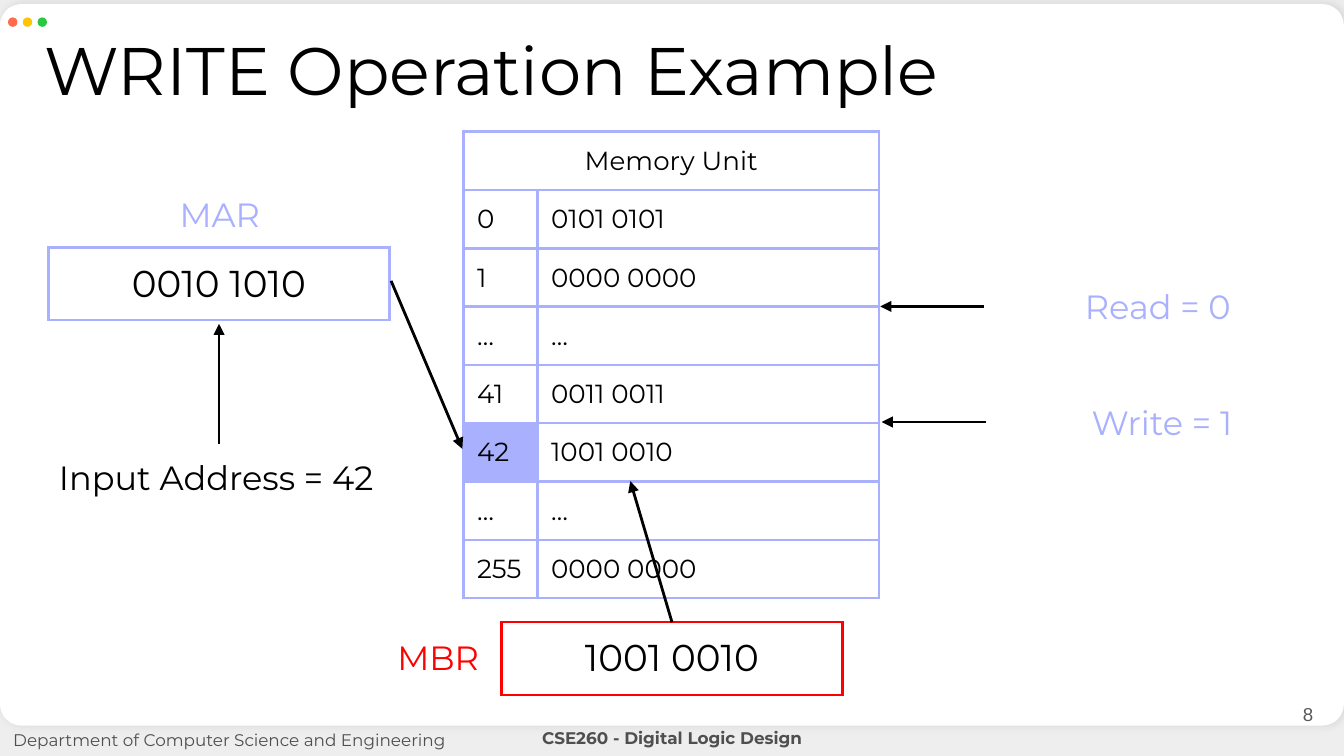
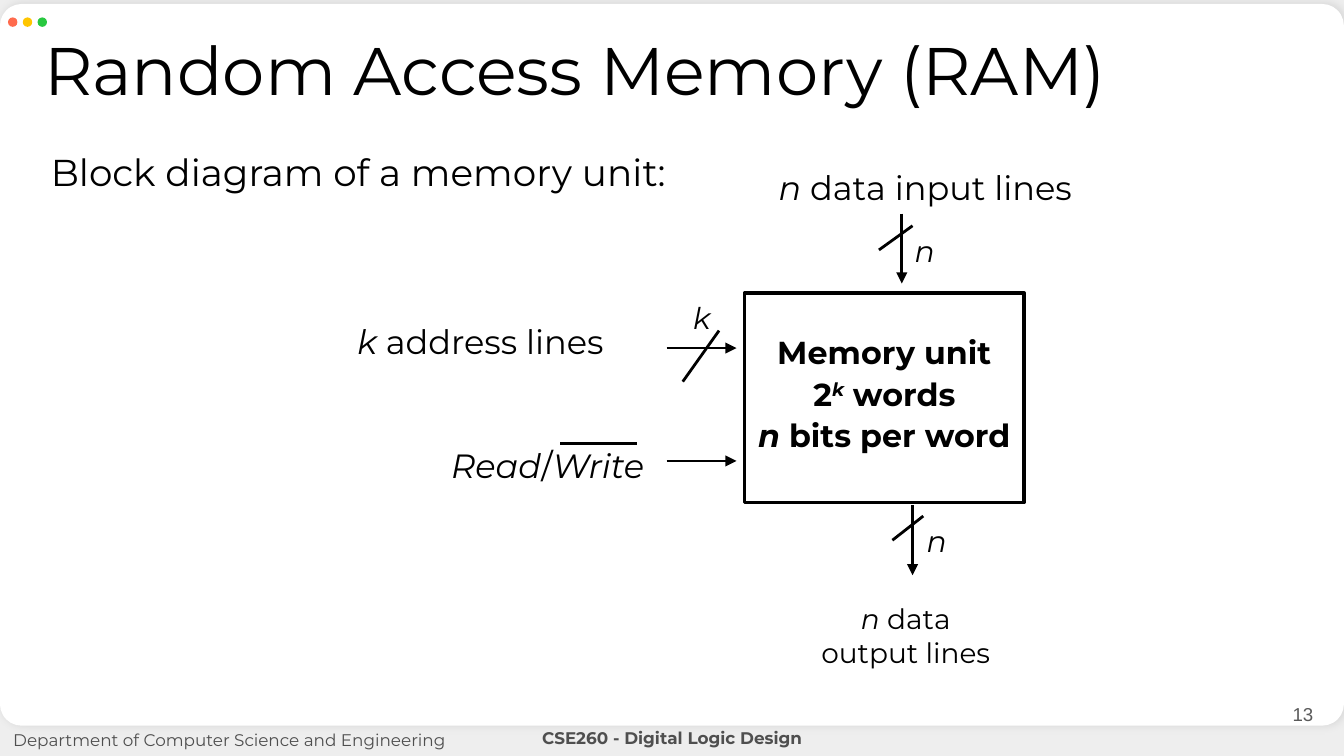
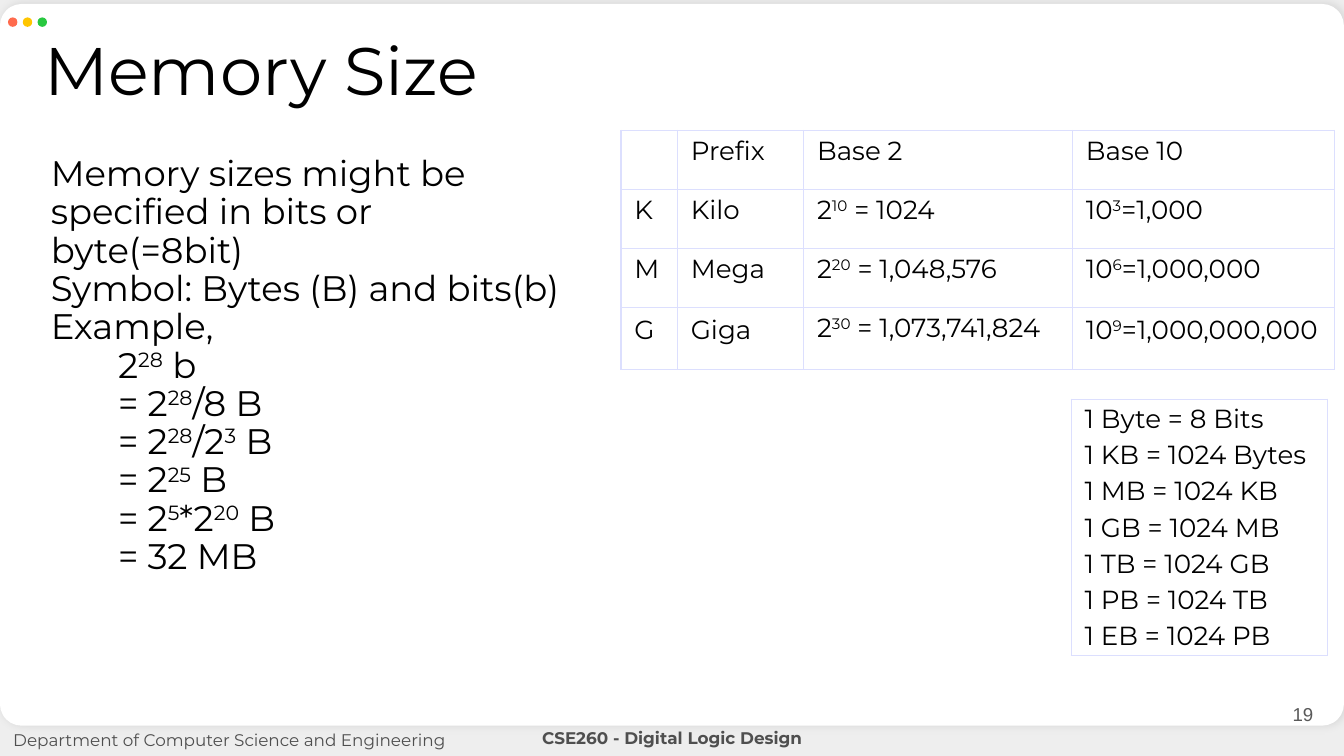
from dataclasses import dataclass
from lxml.etree import SubElement
from pptx import Presentation
from pptx.dml.color import RGBColor
from pptx.enum.shapes import MSO_CONNECTOR, MSO_SHAPE
from pptx.enum.text import MSO_ANCHOR, MSO_AUTO_SIZE, PP_ALIGN
from pptx.oxml.ns import qn
from pptx.util import Inches, Pt


@dataclass(frozen=True)
class Theme:
    face: str = "Montserrat"
    plain: str = "Arial"
    back: str = "EEEEEE"
    card: str = "FFFFFF"
    ink: str = "000000"
    foot: str = "4F4F4F"
    page: str = "595959"
    lilac: str = "A9B0FE"
    pale: str = "DCDFFE"
    red: str = "FF0000"
    dots: tuple = ("FF6B4D", "FFC600", "28C840")
    title: int = 36
    value: int = 20
    body: int = 19
    label: int = 18
    block: int = 17
    mark: int = 16
    out: int = 15
    cell: int = 14
    number: int = 10
    small: int = 9


THEME = Theme()
MID = PP_ALIGN.CENTER
WIDE = (0.1, 0.1)
SLIM = (0.1, 0.05)


def paint(target, color):
    target.solid()
    target.fore_color.rgb = RGBColor.from_string(color)


def assign(item, values):
    for name, value in values.items():
        setattr(item, name, value)


def margins(pad):
    side, top = map(Inches, pad)
    return {"margin_left": side, "margin_right": side,
            "margin_top": top, "margin_bottom": top}


def add_runs(par, text, size, color, face, bold):
    marks = {"^": False, "_": False}
    for piece in text.replace("^", "|^|").replace("_", "|_|").split("|"):
        if piece in marks:
            marks[piece] = not marks[piece]
        elif piece:
            run = par.add_run()
            run.text = piece
            assign(run.font, {"name": face, "size": Pt(size),
                              "bold": bold, "italic": marks["_"]})
            run.font.color.rgb = RGBColor.from_string(color)
            if marks["^"]:
                run.font._element.set("baseline", "30000")


def write(frame, lines, size, color=THEME.ink, face=THEME.face, bold=False,
          align=PP_ALIGN.LEFT, pitch=1.0, gap=0):
    for i, text in enumerate(lines):
        par = frame.paragraphs[0] if i == 0 else frame.add_paragraph()
        assign(par, {"alignment": align, "line_spacing": pitch,
                     "space_before": Pt(gap if i else 0)})
        if text.startswith(">"):
            par._p.get_or_add_pPr().set("indent", str(Inches(0.5)))
        add_runs(par, text.lstrip(">"), size, color, face, bold)


def label(shapes, box, lines, size, pad=WIDE, grow=True,
          anchor=MSO_ANCHOR.TOP, **style):
    frame = shapes.add_textbox(*map(Inches, box)).text_frame
    fit = MSO_AUTO_SIZE.SHAPE_TO_FIT_TEXT if grow else MSO_AUTO_SIZE.NONE
    assign(frame, {"word_wrap": True, "auto_size": fit,
                   "vertical_anchor": anchor, **margins(pad)})
    write(frame, lines, size, **style)


def solid(shapes, kind, box, fill=None, line=None, width=2):
    shape = shapes.add_shape(kind, *map(Inches, box))
    shape.shadow.inherit = False
    if fill:
        paint(shape.fill, fill)
    else:
        shape.fill.background()
    if line:
        paint(shape.line.fill, line)
        shape.line.width = Pt(width)
    else:
        shape.line.fill.background()
    return shape


def stroke(shapes, start, end, width=1.5, tip=False):
    line = shapes.add_connector(MSO_CONNECTOR.STRAIGHT,
                                *map(Inches, (*start, *end)))
    paint(line.line.fill, THEME.ink)
    line.line.width = Pt(width)
    props = line._element.spPr
    if tip:
        SubElement(props.find(qn("a:ln")), qn("a:tailEnd"), type="triangle")
    SubElement(props, qn("a:effectLst"))


def border(cell, color, width):
    props = cell._tc.get_or_add_tcPr()
    for side in ("lnL", "lnR", "lnT", "lnB"):
        edge = SubElement(props, qn(f"a:{side}"), w=str(Pt(width)))
        fill = SubElement(edge, qn("a:solidFill"))
        SubElement(fill, qn("a:srgbClr"), val=color)


def grid(shapes, spot, cols, rows, data, size, color, width=1.5,
         pad=WIDE, fill=None, **style):
    box = (*spot, sum(cols), sum(rows))
    table = shapes.add_table(len(rows), len(cols), *map(Inches, box)).table
    assign(table, {"first_row": False, "horz_banding": False})
    for col, span in zip(table.columns, cols):
        col.width = Inches(span)
    for row, span in zip(table.rows, rows):
        row.height = Inches(span)
    for row, texts in zip(table.rows, data):
        for cell, text in zip(row.cells, texts):
            assign(cell, margins(pad))
            border(cell, color, width)
            if fill:
                paint(cell.fill, fill)
            else:
                cell.fill.background()
            if text:
                write(cell.text_frame, text.split("\n"), size, **style)
    return table


def register(shapes, spot, text, color):
    grid(shapes, spot, [2.54], [0.54], [[text]], THEME.value, color, align=MID)


def start(deck, title, number):
    slide = deck.slides.add_slide(deck.slide_layouts[6])
    paint(slide.background.fill, THEME.back)
    shapes = slide.shapes
    card = solid(shapes, MSO_SHAPE.ROUNDED_RECTANGLE,
                 (0, 0.03, 10, 5.37), THEME.card)
    card.adjustments[0] = 0.03
    effects = card._element.spPr.find(qn("a:effectLst"))
    shade = SubElement(effects, qn("a:outerShdw"), blurRad=str(Pt(4.5)),
                       dist=str(Pt(1.5)), dir="0", rotWithShape="0")
    tint = SubElement(shade, qn("a:srgbClr"), val=THEME.ink)
    SubElement(tint, qn("a:alpha"), val="10000")
    dots = shapes.add_group_shape().shapes
    for i, color in enumerate(THEME.dots):
        solid(dots, MSO_SHAPE.OVAL, (0.06 + 0.11 * i, 0.13, 0.07, 0.07), color)
    label(shapes, (0.23, 0.18, 9.89, 0.75), [title], THEME.title, pitch=0.9)
    label(shapes, (0, 5.33, 5.54, 0.37),
          ["Department of Computer Science and Engineering"],
          THEME.small, grow=False, color=THEME.foot)
    label(shapes, (3.22, 5.34, 3.56, 0.35), ["CSE260 - Digital Logic Design"],
          THEME.small, color=THEME.foot, bold=True, align=MID)
    label(shapes, (9.27, 5.1, 0.6, 0.43), [str(number)], THEME.number,
          grow=False, anchor=MSO_ANCHOR.MIDDLE, color=THEME.page,
          face=THEME.plain, align=PP_ALIGN.RIGHT)
    return shapes


def write_op(deck):
    shapes = start(deck, "WRITE Operation Example", 8)
    words = [("", ""), ("0", "0101 0101"), ("1", "0000 0000"), ("…", "…"),
             ("41", "0011 0011"), ("42", "1001 0010"), ("…", "…"),
             ("255", "0000 0000")]
    table = grid(shapes, (3.45, 0.98), [0.55, 2.54], [0.43] * len(words),
                 words, THEME.cell, THEME.lilac)
    head = table.cell(0, 0)
    head.merge(table.cell(0, 1))
    write(head.text_frame, ["Memory Unit"], THEME.cell, align=MID)
    paint(table.cell(5, 0).fill, THEME.lilac)

    register(shapes, (0.36, 1.84), "0010 1010", THEME.lilac)
    register(shapes, (3.73, 4.63), "1001 0010", THEME.red)
    label(shapes, (0.34, 3.3, 2.59, 0.5), ["Input Address = 42"], THEME.label)
    for text, box, color in [
            ("MAR", (0.34, 1.34, 2.59, 0.5), THEME.lilac),
            ("MBR", (2.79, 4.64, 0.94, 0.5), THEME.red),
            ("Read = 0", (7.32, 2.03, 2.59, 0.5), THEME.lilac),
            ("Write = 1", (7.35, 2.89, 2.59, 0.5), THEME.lilac)]:
        label(shapes, box, [text], THEME.label, color=color, align=MID)
    for tail, tip in [((1.63, 3.3), (1.63, 2.41)),
                      ((2.91, 2.09), (3.44, 3.34)),
                      ((5, 4.63), (4.69, 3.58)),
                      ((7.32, 2.28), (6.55, 2.28)),
                      ((7.34, 3.14), (6.56, 3.14))]:
        stroke(shapes, tail, tip, tip=True)


def ram(deck):
    shapes = start(deck, "Random Access Memory (RAM)", 13)
    label(shapes, (0.28, 1.01, 9.44, 0.54),
          ["Block diagram of a memory unit:"], THEME.value)
    solid(shapes, MSO_SHAPE.RECTANGLE, (5.54, 2.18, 2.08, 1.56),
          line=THEME.ink)
    label(shapes, (5.54, 2.43, 2.08, 1.01),
          ["Memory unit", "2_^k^_ words", "_n_ bits per word"],
          THEME.block, pad=SLIM, bold=True, align=MID, gap=1.8)
    signal = shapes.add_group_shape().shapes
    for group, text, box, size in [
            (shapes, "_k_ address lines", (2.19, 2.34, 2.77, 0.4), THEME.label),
            (shapes, "_n_ data input lines", (5.5, 1.19, 2.77, 0.4), THEME.label),
            (shapes, "_n_ data output lines", (5.96, 4.43, 1.56, 0.61), THEME.out),
            (signal, "_Read_/_Write_", (3.22, 3.26, 1.71, 0.52), THEME.label),
            (shapes, "_k_", (4.96, 2.18, 0.52, 0.37), THEME.mark),
            (shapes, "_n_", (6.62, 1.68, 0.52, 0.37), THEME.mark),
            (shapes, "_n_", (6.71, 3.84, 0.52, 0.37), THEME.mark)]:
        label(group, box, [text], size, pad=SLIM, align=MID)
    stroke(signal, (4.17, 3.3), (4.74, 3.3), width=1.25)
    for y in (2.59, 3.43):
        stroke(shapes, (4.96, y), (5.48, y), tip=True)
    for x, y in [(6.71, 1.59), (6.79, 3.76)]:
        stroke(shapes, (x, y), (x, y + 0.52), tip=True)
    for top, low in [((5.35, 2.46), (5.08, 2.84)),
                     ((6.79, 1.68), (6.54, 1.86)),
                     ((6.87, 3.84), (6.64, 4.02))]:
        stroke(shapes, top, low)


def sizes(deck):
    shapes = start(deck, "Memory Size", 19)
    label(shapes, (0.28, 1.06, 4.02, 3.37), [
        "Memory sizes might be specified in bits or byte(=8bit)",
        "Symbol: Bytes (B) and bits(b)",
        "Example,",
        ">2^28^ b",
        ">= 2^28^/8 B",
        ">= 2^28^/2^3^ B",
        ">= 2^25^ B",
        ">= 2^5^*2^20^ B",
        ">= 32 MB"], THEME.body, pitch=0.9)
    look = {"size": THEME.cell, "color": THEME.pale, "width": 0.75,
            "pad": SLIM, "fill": THEME.card, "pitch": 0.9, "gap": 4}
    table = grid(shapes, (4.62, 0.97), [0.42, 0.94, 2, 1.95],
                 [0.44, 0.44, 0.44, 0.46],
                 [("", "Prefix", "Base 2", "Base 10"),
                  ("K", "Kilo", "2^10^ = 1024", "10^3^=1,000"),
                  ("M", "Mega", "2^20^ = 1,048,576", "10^6^=1,000,000"),
                  ("G", "Giga", "2^30^ = 1,073,741,824",
                   "10^9^=1,000,000,000")],
                 **look)
    for col in (0, 1, 3):
        table.cell(3, col).text_frame.paragraphs[0].line_spacing = 1.0
    units = ["KB", "MB", "GB", "TB", "PB", "EB"]
    facts = ["1 Byte = 8 Bits", "1 KB = 1024 Bytes"]
    facts += [f"1 {big} = 1024 {unit}" for unit, big in zip(units, units[1:])]
    table = grid(shapes, (7.97, 2.97), [0.59, 1.32], [1.9],
                 [("\n".join(facts), "")], **look)
    table.cell(0, 0).merge(table.cell(0, 1))


def main():
    deck = Presentation()
    wide = Inches(10)
    assign(deck, {"slide_width": wide, "slide_height": wide * 9 // 16})
    for build in (write_op, ram, sizes):
        build(deck)
    deck.save("out.pptx")


if __name__ == "__main__":
    main()
